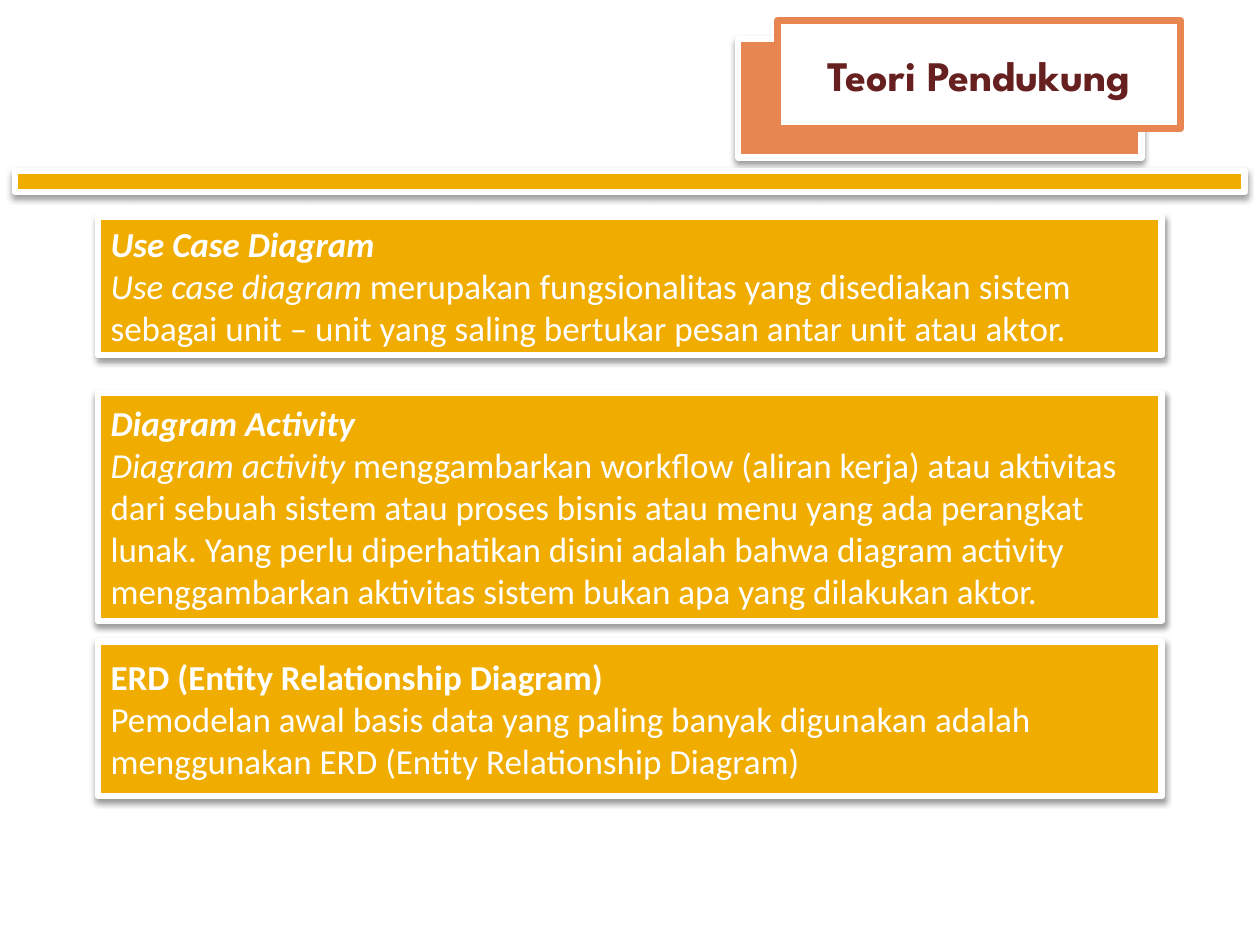
from lxml.etree import SubElement
from pptx import Presentation
from pptx.dml.color import RGBColor
from pptx.enum.shapes import MSO_SHAPE
from pptx.enum.text import MSO_ANCHOR, PP_ALIGN
from pptx.oxml.ns import qn
from pptx.util import Cm, Pt

WHITE = RGBColor(0xFF, 0xFF, 0xFF)
ORANGE = RGBColor(0xE8, 0x86, 0x51)
GOLD = RGBColor(0xF0, 0xAD, 0x00)
MAROON = RGBColor(0x67, 0x20, 0x20)


def add_block(page, kind, left, top, width, height, fill, line=WHITE, shadow=True):
    block = page.shapes.add_shape(kind, Cm(left), Cm(top), Cm(width), Cm(height))
    block.fill.solid()
    block.fill.fore_color.rgb = fill
    block.line.color.rgb = line
    block.line.width = Pt(3.8)
    block.shadow.inherit = False
    if shadow:
        effects = block._element.spPr.find(qn("a:effectLst"))
        outer = SubElement(effects, qn("a:outerShdw"), blurRad=str(Pt(3.5)),
                           dist=str(Pt(2)), dir="5400000", rotWithShape="0")
        color = SubElement(outer, qn("a:srgbClr"), val="000000")
        SubElement(color, qn("a:alpha"), val="38000")
    return block


def add_text(para, text, size=20, font="Calibri", color=WHITE, bold=False,
             italic=False, align=PP_ALIGN.LEFT):
    para.alignment = align
    span = para.add_run()
    span.text = text
    span.font.size = Pt(size)
    span.font.name = font
    span.font.color.rgb = color
    span.font.bold = bold
    span.font.italic = italic


deck = Presentation()
deck.slide_width = Cm(25.4)
deck.slide_height = Cm(19.05)
page = deck.slides.add_slide(deck.slide_layouts[6])

add_block(page, MSO_SHAPE.RECTANGLE, 14.88, 0.79, 8.13, 2.39, ORANGE)
title = add_block(page, MSO_SHAPE.RECTANGLE, 15.67, 0.41, 8.13, 2.18, WHITE,
                  line=ORANGE, shadow=False)
title.text_frame.vertical_anchor = MSO_ANCHOR.MIDDLE
add_text(title.text_frame.paragraphs[0], "Teori Pendukung", size=24,
         font="League Spartan", color=MAROON, bold=True, align=PP_ALIGN.CENTER)
add_block(page, MSO_SHAPE.MATH_MINUS, -4.17, 2.77, 33.73, 1.78, GOLD)

theories = [
    (4.37, 2.79, "Use Case Diagram", True, "Use case diagram ",
     "merupakan fungsionalitas yang disediakan sistem sebagai unit – unit yang "
     "saling bertukar pesan antar unit atau aktor."),
    (7.92, 4.6, "Diagram Activity", True, "Diagram activity ",
     "menggambarkan workflow (aliran kerja) atau aktivitas dari sebuah sistem atau "
     "proses bisnis atau menu yang ada perangkat lunak. Yang perlu diperhatikan "
     "disini adalah bahwa diagram activity menggambarkan aktivitas sistem bukan "
     "apa yang dilakukan aktor."),
    (12.93, 3.12, "ERD (Entity Relationship Diagram)", False, "",
     "Pemodelan awal basis data yang paling banyak digunakan adalah menggunakan "
     "ERD (Entity Relationship Diagram)"),
]

for top, height, heading, slanted, term, description in theories:
    box = add_block(page, MSO_SHAPE.RECTANGLE, 1.98, top, 21.44, height, GOLD)
    frame = box.text_frame
    frame.word_wrap = True
    frame.vertical_anchor = MSO_ANCHOR.MIDDLE
    add_text(frame.paragraphs[0], heading, bold=True, italic=slanted)
    para = frame.add_paragraph()
    if term:
        add_text(para, term, italic=True)
    add_text(para, description)

deck.save("out.pptx")
